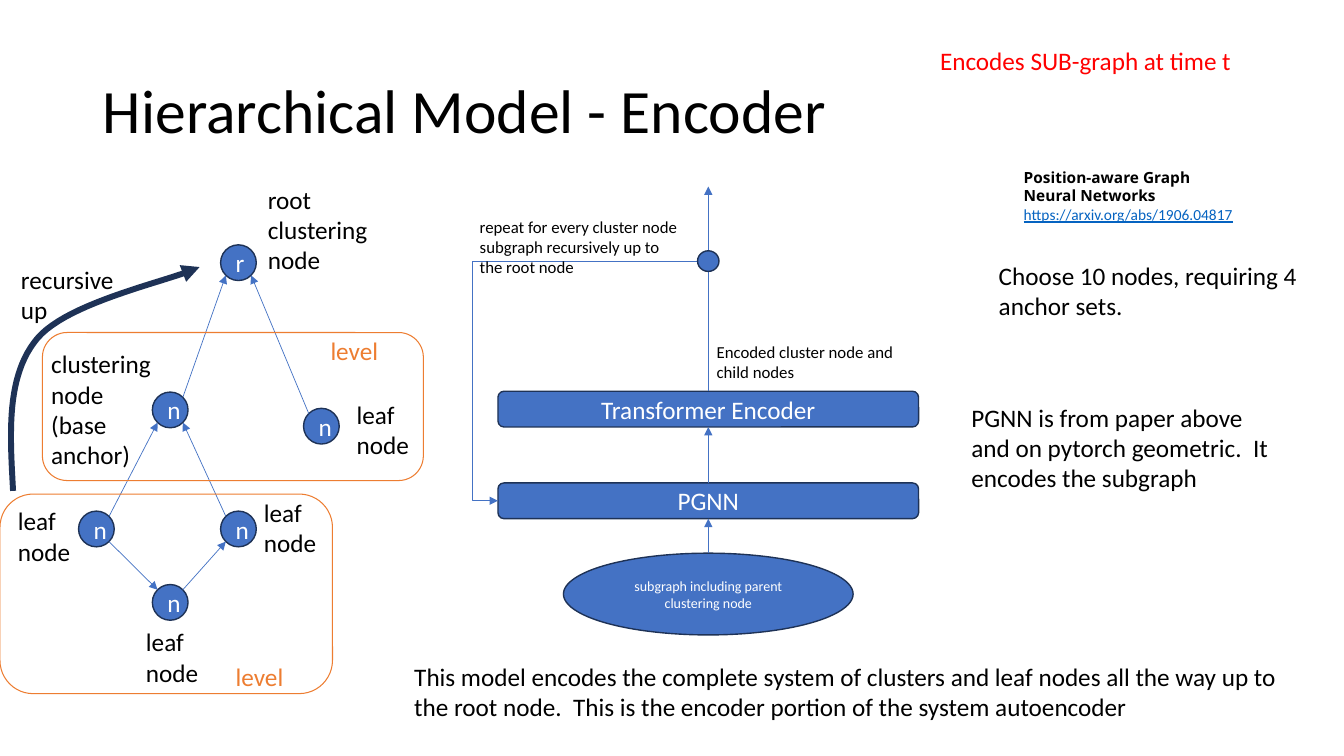
from math import copysign, sqrt
from lxml.etree import SubElement
from pptx import Presentation
from pptx.dml.color import RGBColor
from pptx.enum.shapes import MSO_CONNECTOR, MSO_SHAPE
from pptx.enum.text import MSO_ANCHOR, MSO_AUTO_SIZE, PP_ALIGN
from pptx.oxml.ns import qn
from pptx.util import Cm, Pt

BLUE, NAVY, ORANGE = "4472C4", "1E3256", "ED7D31"
BLACK, WHITE, RED, LINK = "000000", "FFFFFF", "FF0000", "0563C1"
SIZE = 0.9  # node diameter and bar height
MID = 17.85  # axis of the encoder stack


def paint(target, color):
    target.rgb = RGBColor.from_string(color)


def add_run(para, text, size=18, color=BLACK, font="Calibri", bold=False, under=False):
    run = para.add_run()
    run.text = text
    run.font.size, run.font.name = Pt(size), font
    run.font.bold, run.font.underline = bold, under
    paint(run.font.color, color)


def add_text(slide, box, *lines, wrap=True, **style):
    frame = slide.shapes.add_textbox(*map(Cm, box)).text_frame
    frame.word_wrap = wrap
    frame.auto_size = MSO_AUTO_SIZE.SHAPE_TO_FIT_TEXT
    for i, line in enumerate(lines):
        para = frame.add_paragraph() if i else frame.paragraphs[0]
        add_run(para, line, **style)
    return frame


def add_shape(slide, kind, box, text="", size=18, fill=BLUE, edge=NAVY, width=1):
    shape = slide.shapes.add_shape(kind, *map(Cm, box))
    shape.shadow.inherit = False
    if fill:
        shape.fill.solid()
        paint(shape.fill.fore_color, fill)
    else:
        shape.fill.background()
    paint(shape.line.color, edge)
    shape.line.width = Pt(width)
    if text:
        frame = shape.text_frame
        frame.word_wrap = True
        frame.vertical_anchor = MSO_ANCHOR.MIDDLE
        frame.paragraphs[0].alignment = PP_ALIGN.CENTER
        add_run(frame.paragraphs[0], text, size, WHITE)
    return shape


def add_head(shape):
    line = shape.element.spPr.find(qn("a:ln"))
    SubElement(line, qn("a:tailEnd"), type="triangle")


def add_arrow(slide, start, end, kind=MSO_CONNECTOR.STRAIGHT):
    arrow = slide.shapes.add_connector(kind, *map(Cm, start + end))
    paint(arrow.line.color, BLUE)
    arrow.line.width = Pt(0.5)
    add_head(arrow)
    SubElement(arrow.element.spPr, qn("a:effectLst"))
    return arrow


def add_edge(slide, tail, head):
    """Join two nodes at their facing diagonal points."""
    half, reach = SIZE / 2, SIZE / 2 / sqrt(2)
    steps = [copysign(reach, b - a) for a, b in zip(tail, head)]
    start = tuple(a + half + s for a, s in zip(tail, steps))
    end = tuple(b + half - s for b, s in zip(head, steps))
    add_arrow(slide, start, end)


def add_curve(slide, points, steps=24):
    """Draw chained cubic curves as one fine open outline."""
    dots = []
    for i in range(0, len(points) - 1, 3):
        for k in range(1, steps + 1):
            t = k / steps
            parts = ((1 - t) ** 3, 3 * t * (1 - t) ** 2, 3 * t * t * (1 - t), t ** 3)
            dots.append(tuple(Cm(sum(w * p[axis] for w, p in zip(parts, points[i:i + 4])))
                              for axis in (0, 1)))
    pen = slide.shapes.build_freeform(*map(Cm, points[0]))
    pen.add_line_segments(dots, close=False)
    curve = pen.convert_to_shape()
    curve.shadow.inherit = False
    curve.fill.background()
    paint(curve.line.color, NAVY)
    curve.line.width = Pt(4.25)
    add_head(curve)


def add_title(slide, text):
    title = slide.shapes.title
    title.left, title.top, title.width, title.height = map(Cm, (2.34, 1.02, 20.6, 3.68))
    frame = title.text_frame
    frame.auto_size = MSO_AUTO_SIZE.NONE
    frame.vertical_anchor = MSO_ANCHOR.MIDDLE
    para = frame.paragraphs[0]
    para.alignment, para.line_spacing = PP_ALIGN.LEFT, 0.9
    add_run(para, text, 44)


def draw_tree(slide):
    # Nodes and edges
    root, anchor, side = (5.56, 6.17), (3.84, 9.88), (7.65, 10.29)
    left, right, low = (1.98, 12.88), (5.56, 12.88), (3.84, 14.73)
    for spot in (root, anchor, side, left, right, low):
        add_shape(slide, MSO_SHAPE.OVAL, (*spot, SIZE, SIZE), "r" if spot == root else "n")
    for tail, head in ((right, anchor), (left, anchor), (left, low),
                       (low, right), (anchor, root), (side, root)):
        add_edge(slide, tail, head)

    # Node labels
    add_text(slide, (1.04, 8.66, 3.2, 3.33), "clustering", "node (base anchor)")
    add_text(slide, (6.5, 4.52, 3.2, 2.57), "root clustering", "node")
    for x, y, width in ((8.74, 9.93, 3.2), (6.4, 12.4, 1.98),
                        (3.43, 15.67, 2.13), (0.2, 12.62, 1.98)):
        add_text(slide, (x, y, width, 1.8), "leaf", "node")

    # Levels
    for frame, label, wrap in (
            ((0, 12.45, 8.38, 5.03), (5.69, 16.54, 1.73, 1.02), False),
            ((1.07, 8.38, 9.6, 3.73), (8.08, 8.33, 1.85, 1.02), True)):
        add_shape(slide, MSO_SHAPE.ROUNDED_RECTANGLE, frame, fill=None, edge=ORANGE, width=0.75)
        add_text(slide, label, "level", wrap=wrap, color=ORANGE)

    # Upward sweep
    add_curve(slide, [(0.33, 12.37), (0.25, 10.92), (0.15, 9.47), (0.94, 8.53),
                      (1.73, 7.59), (4.37, 7.06), (5.03, 6.73)])
    add_text(slide, (0.28, 6.53, 3.02, 1.8), "recursive", "up", wrap=False)


def draw_stack(slide):
    # Blocks
    source = add_shape(slide, MSO_SHAPE.OVAL, (MID - 3.65, 13.94, 7.3, 2.06),
                       "subgraph including parent clustering node", 10)
    coder, pgnn = [add_shape(slide, MSO_SHAPE.ROUNDED_RECTANGLE, (MID - 5.3, y, 10.6, SIZE), text)
                   for y, text in ((9.86, "Transformer Encoder"), (12.17, "PGNN"))]

    # Flow upwards
    for low, high in ((source, pgnn), (pgnn, coder)):
        arrow = add_arrow(slide, (MID, 13), (MID, 12))
        arrow.begin_connect(low, 0)
        arrow.end_connect(high, 2)
    add_arrow(slide, (MID, 9.86), (MID, 4.7)).begin_connect(coder, 0)

    # Loop back to PGNN
    loop = add_arrow(slide, (MID - 0.27, 6.58), (MID - 5.3, 12.62), MSO_CONNECTOR.ELBOW)
    guides = loop.element.spPr.find(qn("a:prstGeom")).get_or_add_avLst()
    SubElement(guides, qn("a:gd"), name="adj1", fmla="val 112700")
    add_shape(slide, MSO_SHAPE.OVAL, (MID - 0.27, 6.32, 0.54, 0.52))

    # Flow labels
    add_text(slide, (17.81, 8.48, 5.33, 1.27), "Encoded cluster node and child nodes", size=12)
    add_text(slide, (11.84, 5.33, 5.56, 1.8),
             "repeat for every cluster node subgraph recursively up to the root node", size=12)


def draw_notes(slide):
    paper = add_text(slide, (25.55, 4.11, 6.02, 1.68), "Position-aware Graph Neural Networks",
                     size=11, font="Open Sans", bold=True)
    add_run(paper.add_paragraph(), "https://arxiv.org/abs/1906.04817", 11, LINK, under=True)
    add_text(slide, (24.92, 6.43, 8.38, 1.8), "Choose 10 nodes, requiring 4 anchor sets.")
    add_text(slide, (24.23, 10.01, 8, 2.57),
             "PGNN is from paper above and on pytorch geometric.  It encodes the subgraph")
    add_text(slide, (10.19, 16.54, 22.66, 1.8),
             "This model encodes the complete system of clusters and leaf nodes all the way up to "
             "the root node.  This is the encoder portion of the system autoencoder")
    add_text(slide, (23.44, 1.02, 7.92, 1.02), "Encodes SUB-graph at time t", wrap=False, color=RED)


def main():
    deck = Presentation()
    deck.slide_width, deck.slide_height = Cm(33.87), Cm(19.05)
    slide = deck.slides.add_slide(deck.slide_layouts[5])
    add_title(slide, "Hierarchical Model - Encoder")
    draw_tree(slide)
    draw_stack(slide)
    draw_notes(slide)
    deck.save("out.pptx")


if __name__ == "__main__":
    main()
